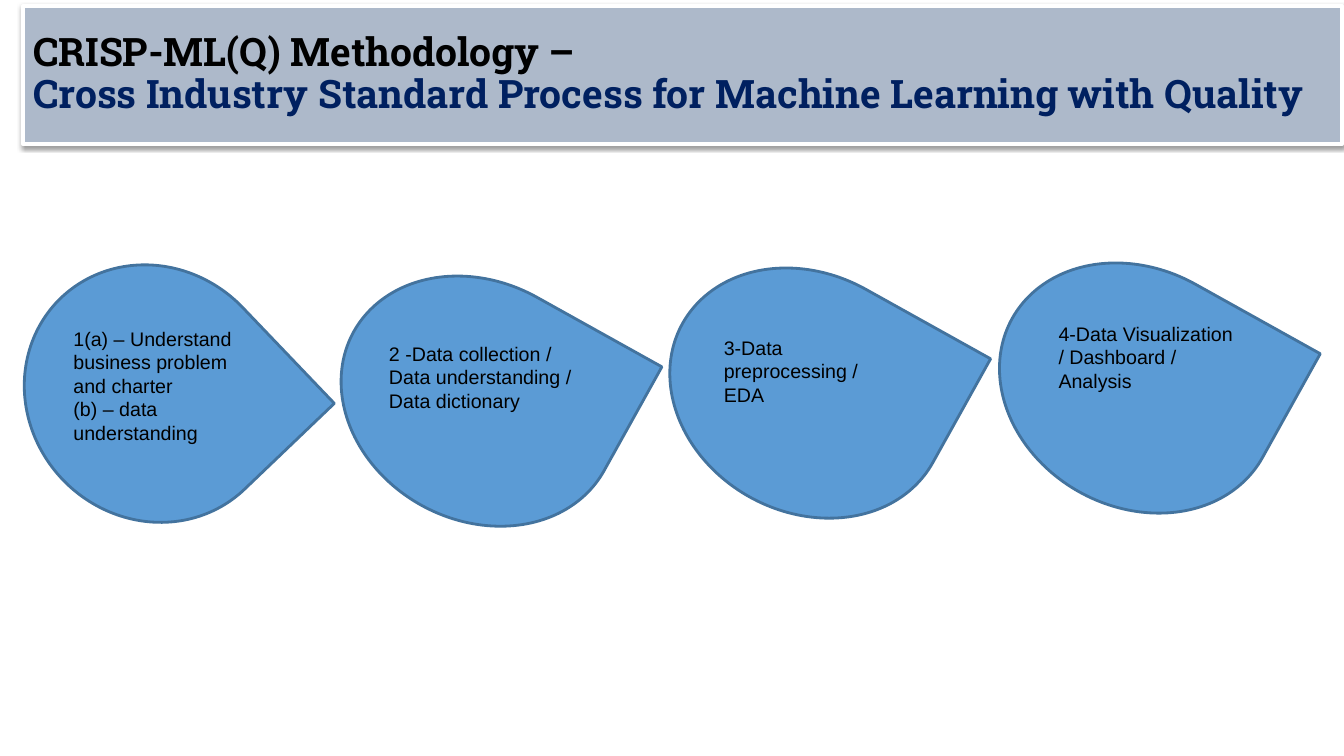
from lxml.etree import fromstring
from pptx import Presentation
from pptx.dml.color import RGBColor
from pptx.enum.shapes import MSO_SHAPE
from pptx.enum.text import MSO_ANCHOR, MSO_AUTO_SIZE, PP_ALIGN
from pptx.util import Pt

PX = 9144  # 100 px to the inch
BLACK = RGBColor(0x00, 0x00, 0x00)
WHITE = RGBColor(0xFF, 0xFF, 0xFF)
NAVY = RGBColor(0x00, 0x20, 0x60)
GREY = RGBColor(0xAD, 0xB9, 0xCA)
BLUE = RGBColor(0x5B, 0x9B, 0xD5)
EDGE = RGBColor(0x43, 0x73, 0x9E)
SHADOW = """<a:effectLst xmlns:a="http://schemas.openxmlformats.org/drawingml/2006/main">
<a:outerShdw blurRad="39370" dist="20320" dir="5400000" rotWithShape="0">
<a:srgbClr val="000000"><a:alpha val="38000"/></a:srgbClr></a:outerShdw></a:effectLst>"""


def px(*nums):
    return [n * PX for n in nums]


def add_run(para, text, font, size, color, bold=False):
    run = para.add_run()
    run.text = text
    run.font.name = font
    run.font.size = Pt(size)
    run.font.bold = bold
    run.font.color.rgb = color


deck = Presentation()
deck.slide_width, deck.slide_height = px(1333, 750)
slide = deck.slides.add_slide(deck.slide_layouts[5])

# Title band
title = slide.shapes.title
title.left, title.top, title.width, title.height = px(23, 6, 1308, 137)
title.fill.solid()
title.fill.fore_color.rgb = GREY
title.line.color.rgb = WHITE
title.line.width = Pt(3)
title.element.spPr.append(fromstring(SHADOW))
frame = title.text_frame
frame.word_wrap = True
frame.auto_size = MSO_AUTO_SIZE.NONE
frame.vertical_anchor = MSO_ANCHOR.MIDDLE
para = frame.paragraphs[0]
para.alignment = PP_ALIGN.LEFT
para.line_spacing = 0.9
add_run(para, "CRISP-ML(Q) Methodology – ", "Roboto Slab", 28, BLACK, True)
para.add_line_break()
add_run(para, "Cross Industry Standard Process for Machine Learning with Quality",
        "Roboto Slab", 28, NAVY, True)

# Steps: drop box, turn, label box, lines
STEPS = [
    ((20, 267, 263, 247), 46.3, (63, 319, 206, 162),
     ["1(a) – Understand business problem and charter", "(b) – data understanding"]),
    ((333, 280, 284, 236), 29.1, (376, 334, 223, 81),
     ["2 -Data collection / Data understanding / Data dictionary"]),
    ((659, 272, 284, 236), 29.1, (708, 328, 188, 81),
     ["3-Data preprocessing / EDA"]),
    ((986, 267, 284, 236), 29.1, (1040, 314, 198, 81),
     ["4-Data Visualization / Dashboard / Analysis"]),
]
for spot, turn, area, lines in STEPS:
    drop = slide.shapes.add_shape(MSO_SHAPE.TEAR, *px(*spot))
    drop.rotation = turn
    drop.shadow.inherit = False
    drop.fill.solid()
    drop.fill.fore_color.rgb = BLUE
    drop.line.color.rgb = EDGE
    drop.line.width = Pt(2)

    frame = slide.shapes.add_textbox(*px(*area)).text_frame
    frame.word_wrap = True
    for i, text in enumerate(lines):
        para = frame.add_paragraph() if i else frame.paragraphs[0]
        add_run(para, text, "Arial", 14, BLACK)

deck.save("out.pptx")
